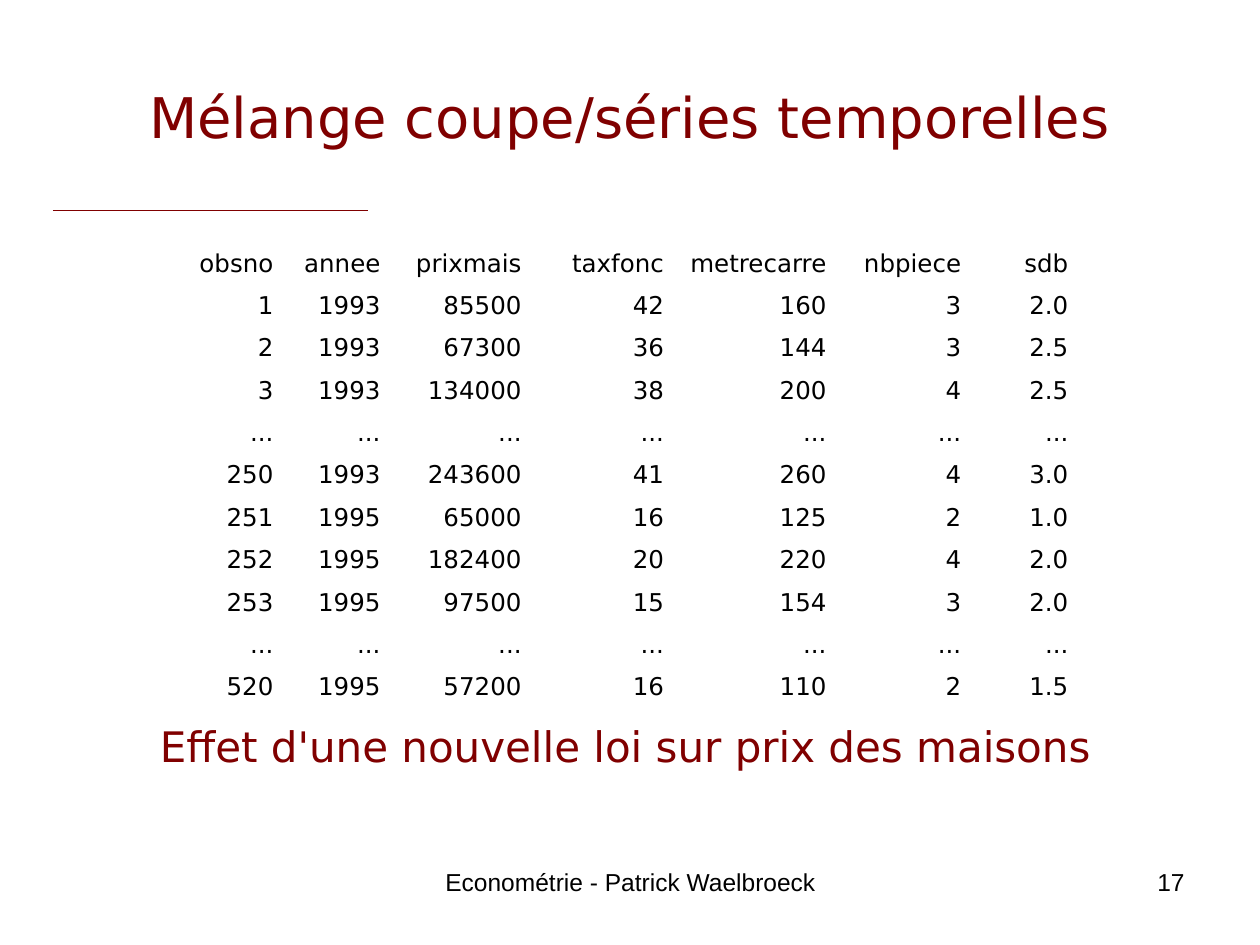
from pptx import Presentation
from pptx.dml.color import RGBColor
from pptx.enum.shapes import MSO_CONNECTOR
from pptx.enum.text import MSO_ANCHOR, PP_ALIGN
from pptx.oxml.ns import qn
from pptx.util import Inches, Pt
from lxml import etree

MAROON = RGBColor(0x80, 0x00, 0x00)
BLACK = RGBColor(0x00, 0x00, 0x00)
LEFT, CENTER, RIGHT = PP_ALIGN.LEFT, PP_ALIGN.CENTER, PP_ALIGN.RIGHT
MIDDLE, BOTTOM = MSO_ANCHOR.MIDDLE, MSO_ANCHOR.BOTTOM
STRAIGHT = MSO_CONNECTOR.STRAIGHT
BODY_FONT, FOOTER_FONT = "DejaVu Sans", "Arial"
TITLE_ONLY = 5

COLUMN_WIDTHS = [0.85, 0.85, 1.12, 1.13, 1.29, 1.07, 0.85]
GAP_ROW = ["..."] * len(COLUMN_WIDTHS)
HOUSES = [
    ["obsno", "annee", "prixmais", "taxfonc", "metrecarre", "nbpiece", "sdb"],
    ["1", "1993", "85500", "42", "160", "3", "2.0"],
    ["2", "1993", "67300", "36", "144", "3", "2.5"],
    ["3", "1993", "134000", "38", "200", "4", "2.5"],
    GAP_ROW,
    ["250", "1993", "243600", "41", "260", "4", "3.0"],
    ["251", "1995", "65000", "16", "125", "2", "1.0"],
    ["252", "1995", "182400", "20", "220", "4", "2.0"],
    ["253", "1995", "97500", "15", "154", "3", "2.0"],
    GAP_ROW,
    ["520", "1995", "57200", "16", "110", "2", "1.5"],
]


def write(tf, text, size, color, align, font=BODY_FONT):
    tf.word_wrap = True
    p = tf.paragraphs[0]
    p.text = text
    p.alignment = align
    p.font.name = font
    p.font.size = Pt(size)
    p.font.color.rgb = color


def place_title(slide, left, top, width, height):
    title = slide.shapes.title
    title.left, title.top = Inches(left), Inches(top)
    title.width, title.height = Inches(width), Inches(height)
    write(title.text_frame, "Mélange coupe/séries temporelles", 32, MAROON, CENTER)
    title.text_frame.vertical_anchor = MIDDLE


def add_rule(slide, left, top, width):
    line = slide.shapes.add_connector(
        STRAIGHT, Inches(left), Inches(top), Inches(left + width), Inches(top))
    line.line.color.rgb = MAROON
    line.line.width = Pt(0.75)
    etree.SubElement(line._element.spPr, qn("a:effectLst"))


def add_text(slide, box, *style):
    sp = slide.shapes.add_textbox(*map(Inches, box))
    write(sp.text_frame, *style)


def add_house_table(slide, left, top, width, height):
    table = slide.shapes.add_table(
        len(HOUSES), len(COLUMN_WIDTHS),
        Inches(left), Inches(top), Inches(width), Inches(height)).table
    table.first_row = table.horz_banding = False
    for column, share in zip(table.columns, COLUMN_WIDTHS):
        column.width = Inches(width * share / sum(COLUMN_WIDTHS))
    for row, values in zip(table.rows, HOUSES):
        for cell, value in zip(row.cells, values):
            cell.fill.background()
            cell.vertical_anchor = BOTTOM
            write(cell.text_frame, value, 14, BLACK, RIGHT)


def add_footer(slide, top, height):
    add_text(slide, (3.42, top, 3.17, height),
             "Econométrie - Patrick Waelbroeck", 14, BLACK, CENTER, FOOTER_FONT)
    add_text(slide, (7.17, top, 2.33, height), "17", 14, BLACK, RIGHT, FOOTER_FONT)


def main():
    prs = Presentation()
    prs.slide_width, prs.slide_height = Inches(10), Inches(7.5)
    slide = prs.slides.add_slide(prs.slide_layouts[TITLE_ONLY])

    # Title and rule
    place_title(slide, 0.5, 0.3, 9, 1.25)
    add_rule(slide, 0.42, 1.67, 2.5)

    # Conclusion and data
    add_text(slide, (1.17, 5.67, 7.75, 0.5),
             "Effet d'une nouvelle loi sur prix des maisons", 24, MAROON, LEFT)
    add_house_table(slide, 1.42, 1.92, 7.16, 3.7)

    # Footer
    add_footer(slide, 6.83, 0.52)
    prs.save("out.pptx")


if __name__ == "__main__":
    main()
